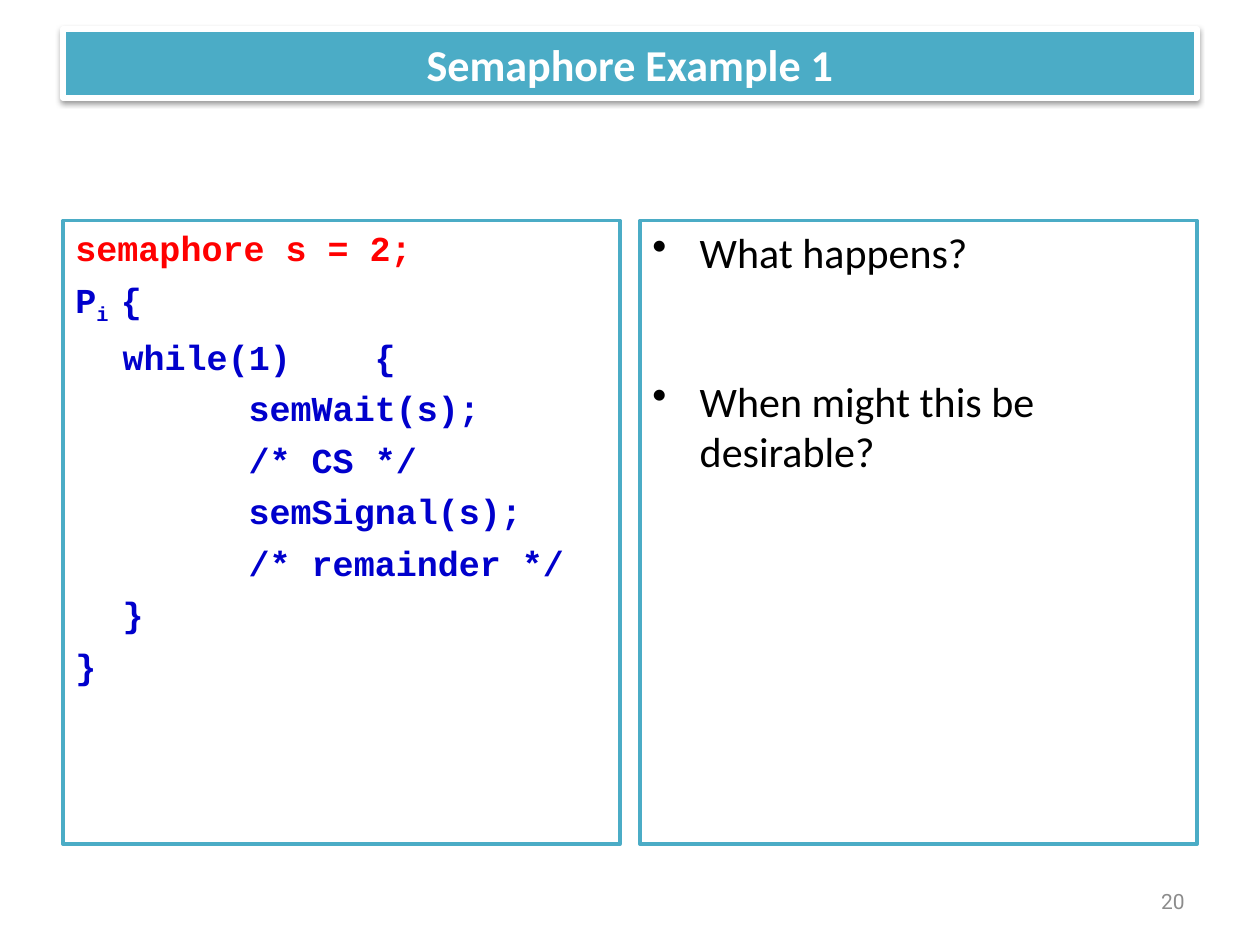
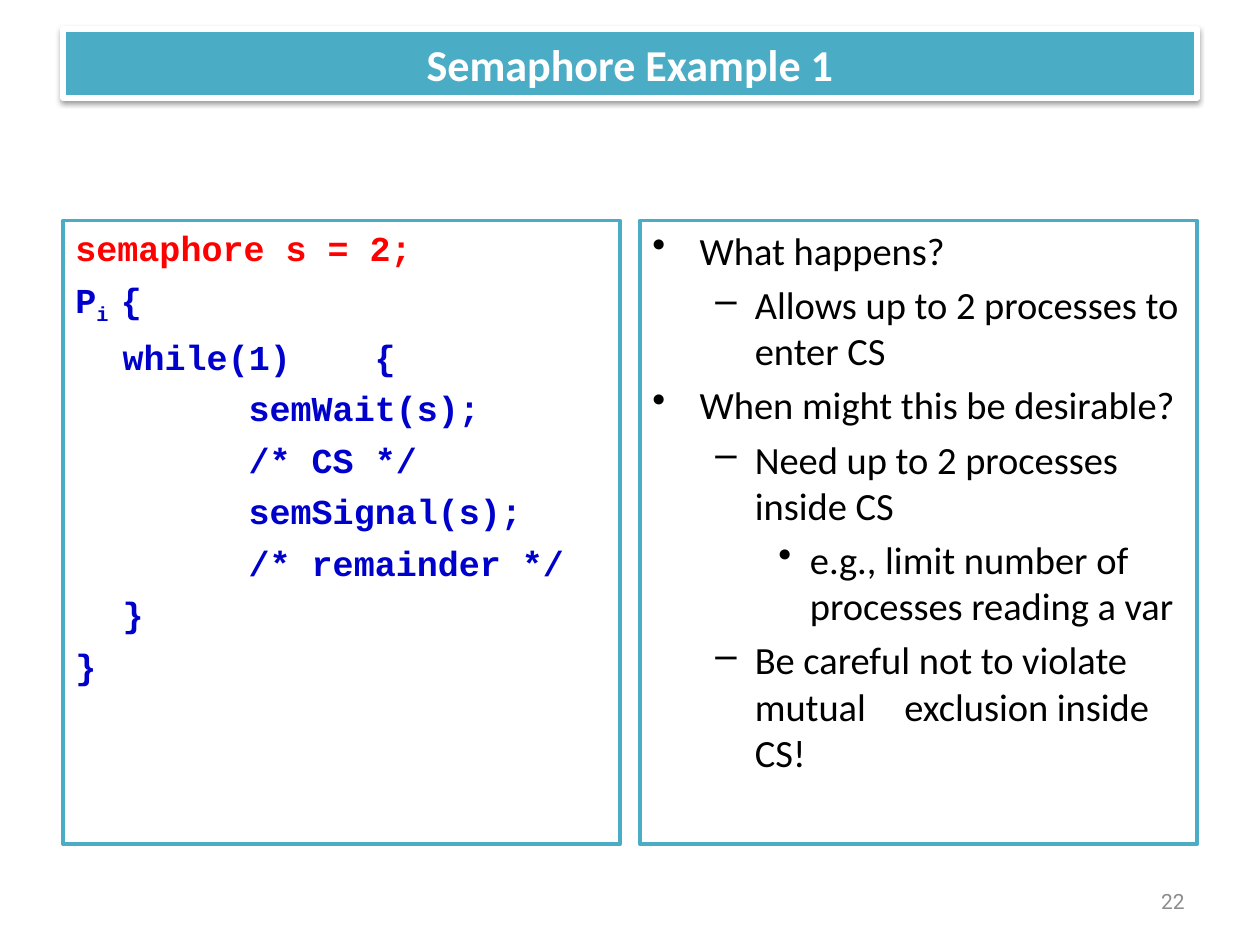
from dataclasses import dataclass

from lxml.etree import SubElement
from pptx import Presentation
from pptx.dml.color import RGBColor
from pptx.enum.shapes import MSO_SHAPE as Shape
from pptx.enum.text import MSO_ANCHOR as Anchor, MSO_AUTO_SIZE as Fit, PP_ALIGN as Align
from pptx.oxml.ns import qn
from pptx.util import Pt

TEAL, WHITE, BLACK = "4BACC6", "FFFFFF", "000000"
RED, BLUE, GREY = "FF0000", "0000CC", "8C8C8C"
BODY, MONO, NUMBER = "Calibri", "Courier New", "Roboto"
EDGE, WIDE = 36, 648
TOP, TALL, GAP = 126, 356.4, 11.5
HALF = (WIDE - GAP) / 2
TAB = 72


@dataclass(frozen=True)
class Level:
    left: float
    hang: float
    mark: str


@dataclass(frozen=True)
class Point:
    text: str
    level: int = 0
    gap: float = 4.6


@dataclass(frozen=True)
class Page:
    number: str
    size: float
    points: tuple[Point, ...]


LEVELS = (Level(27, 27, "•"), Level(58.5, 22.5, "–"), Level(90, 18, "•"))
CODE_LEVEL = Level(27, 27, "")
CODE = (
    ("semaphore s = 2;",),
    ("P", "i ", "{"),
    ("\twhile(1) \t{",),
    ("\t\tsemWait(s);",),
    ("\t\t/* CS */",),
    ("\t\tsemSignal(s);",),
    ("\t\t/* remainder */",),
    ("\t}",),
    ("}",),
)
PAGES = (
    Page("20", 24, (
        Point("What happens?"),
        Point("When might this be desirable?", gap=56),
    )),
    Page("22", 22, (
        Point("What happens?"),
        Point("Allows up to 2 processes to enter CS", 1),
        Point("When might this be desirable?"),
        Point("Need up to 2 processes inside CS", 1),
        Point("e.g., limit number of processes reading a var", 2),
        Point("Be careful not to violate mutual \texclusion inside CS!", 1),
    )),
)


def rgb(code: str) -> RGBColor:
    return RGBColor.from_string(code)


def paint(shape, fill: str, line: str, width: float) -> None:
    shape.fill.solid()
    shape.fill.fore_color.rgb = rgb(fill)
    shape.line.color.rgb = rgb(line)
    shape.line.width = Pt(width)


def style(para, face: str, size: float, color: str, bold: bool = False) -> None:
    for run in para.runs:
        font = run.font
        font.name, font.size, font.bold = face, Pt(size), bold
        font.color.rgb = rgb(color)


def indent(para, level: Level, gap: float) -> None:
    """Set alignment, spacing, hanging indent, tab width and bullet."""
    para.alignment = Align.LEFT
    para.space_before = Pt(gap)
    props = para._p.get_or_add_pPr()
    props.set("marL", str(Pt(level.left)))
    props.set("indent", str(-Pt(level.hang)))
    props.set("defTabSz", str(Pt(TAB)))
    if level.mark:
        SubElement(props, qn("a:buChar"), char=level.mark)
    else:
        SubElement(props, qn("a:buNone"))


def add_title(slide, text: str) -> None:
    title = slide.shapes.title
    title.left, title.top = Pt(EDGE), Pt(16.5)
    title.width, title.height = Pt(WIDE), Pt(39.6)
    paint(title, TEAL, WHITE, 3)
    effects = SubElement(title._element.spPr, qn("a:effectLst"))
    shadow = SubElement(effects, qn("a:outerShdw"), blurRad=str(Pt(3.1)),
                        dist=str(Pt(1.6)), dir="5400000", rotWithShape="0")
    tint = SubElement(shadow, qn("a:srgbClr"), val=BLACK)
    SubElement(tint, qn("a:alpha"), val="38000")
    frame = title.text_frame
    frame.text = text
    frame.auto_size = Fit.NONE
    frame.vertical_anchor = Anchor.MIDDLE
    para = frame.paragraphs[0]
    para.alignment = Align.CENTER
    style(para, BODY, 25.2, WHITE, True)


def add_panel(slide, left: float):
    """Draw a bordered panel and return its text frame."""
    panel = slide.shapes.add_shape(
        Shape.RECTANGLE, Pt(left), Pt(TOP), Pt(HALF), Pt(TALL))
    panel.shadow.inherit = False
    paint(panel, WHITE, TEAL, 2)
    frame = panel.text_frame
    frame.word_wrap = True
    frame.vertical_anchor = Anchor.TOP
    return frame


def add_code(slide) -> None:
    frame = add_panel(slide, EDGE)
    frame.text = "\n".join(parts[0] for parts in CODE)
    for row, (para, parts) in enumerate(zip(frame.paragraphs, CODE)):
        for part in parts[1:]:
            para.add_run().text = part
        indent(para, CODE_LEVEL, 5.4)
        style(para, MONO, 20, BLUE if row else RED, True)
        if len(parts) > 1:
            para.runs[1]._r.get_or_add_rPr().set("baseline", "-25000")


def add_points(slide, page: Page) -> None:
    frame = add_panel(slide, EDGE + HALF + GAP)
    frame.text = "\n".join(point.text for point in page.points)
    for para, point in zip(frame.paragraphs, page.points):
        para.level = point.level
        indent(para, LEVELS[point.level], point.gap)
        style(para, BODY, page.size, BLACK)


def add_number(slide, text: str) -> None:
    box = slide.shapes.add_textbox(Pt(516), Pt(500.5), Pt(168), Pt(28.75))
    frame = box.text_frame
    frame.text = text
    frame.word_wrap = True
    frame.vertical_anchor = Anchor.MIDDLE
    para = frame.paragraphs[0]
    para.alignment = Align.RIGHT
    style(para, NUMBER, 12, GREY)


def main() -> None:
    deck = Presentation()
    deck.slide_width, deck.slide_height = Pt(720), Pt(540)
    layout = deck.slide_layouts.get_by_name("Title Only")
    for page in PAGES:
        slide = deck.slides.add_slide(layout)
        add_title(slide, "Semaphore Example 1")
        add_code(slide)
        add_points(slide, page)
        add_number(slide, page.number)
    deck.save("out.pptx")


if __name__ == "__main__":
    main()
